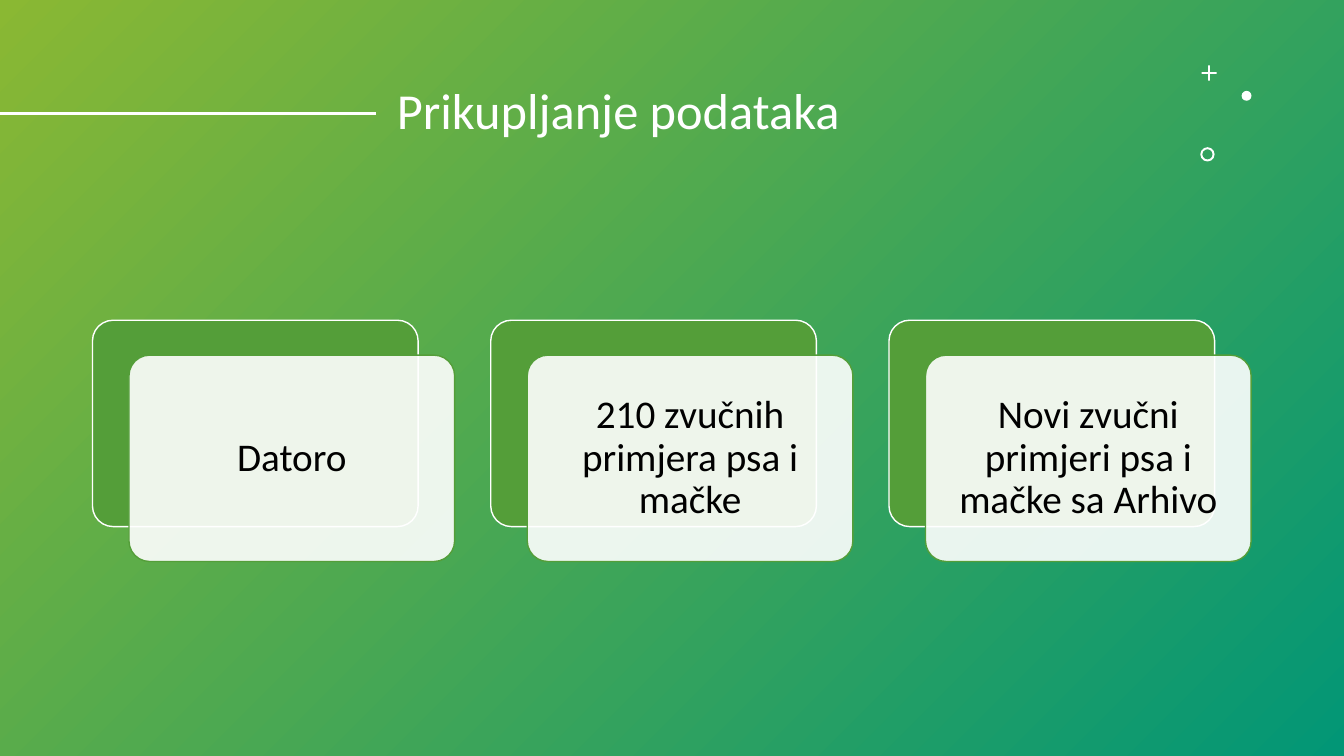
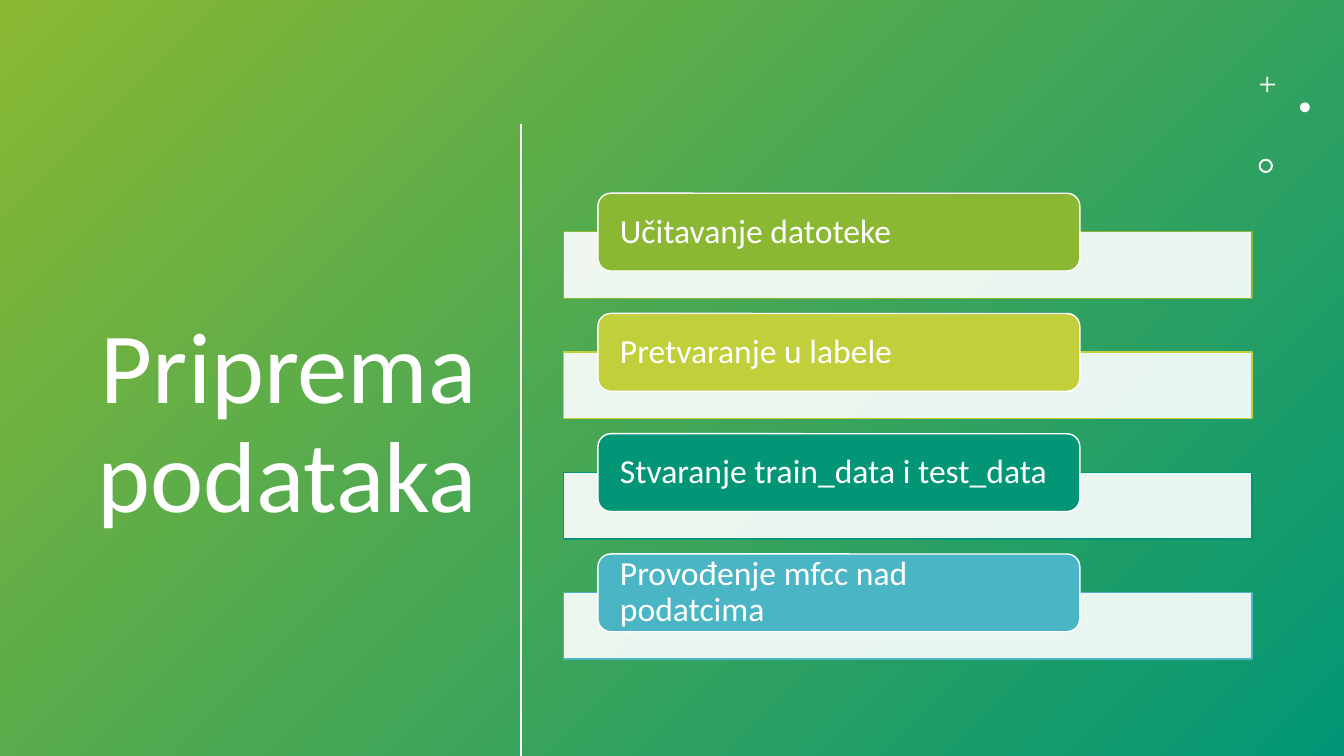
from lxml import etree
from pptx import Presentation
from pptx.dml.color import RGBColor
from pptx.enum import shapes, text
from pptx.oxml import ns
from pptx.util import Cm, Pt

WIDTH, HEIGHT = 33.87, 19.05
FONT = "Calibri"
WHITE = RGBColor(0xFF, 0xFF, 0xFF)
BLACK = RGBColor(0x00, 0x00, 0x00)
GREEN = RGBColor(0x54, 0x9E, 0x39)
LIME = RGBColor(0x8A, 0xB8, 0x33)
YELLOW = RGBColor(0xC0, 0xCF, 0x3A)
TEAL = RGBColor(0x02, 0x96, 0x76)
BLUE = RGBColor(0x4A, 0xB5, 0xC4)
PRESET = shapes.MSO_SHAPE
ALIGN = text.PP_ALIGN


# Basic parts: boxes are (left, top, width, height) in centimetres
def add_box(slide, preset, box, fill=WHITE, line=None, alpha=None, corner=None):
    shape = slide.shapes.add_shape(preset, *map(Cm, box))
    shape.shadow.inherit = False
    shape.fill.solid()
    shape.fill.fore_color.rgb = fill
    if alpha is not None:
        color = shape.fill._xPr.find(".//" + ns.qn("a:srgbClr"))
        etree.SubElement(color, ns.qn("a:alpha")).set("val", str(alpha * 1000))
    if line is None:
        shape.line.fill.background()
    else:
        shape.line.color.rgb = line
        shape.line.width = Pt(1)
    if corner is not None:
        shape.adjustments[0] = corner
    return shape


def write(shape, words, size, color, align=ALIGN.LEFT, inset=(0.25, 0.13)):
    frame = shape.text_frame
    frame.word_wrap = True
    frame.vertical_anchor = text.MSO_ANCHOR.MIDDLE
    frame.margin_left = frame.margin_right = Cm(inset[0])
    frame.margin_top = frame.margin_bottom = Cm(inset[1])
    paragraph = frame.paragraphs[0]
    paragraph.text = words
    paragraph.alignment = align
    paragraph.line_spacing = 0.9
    paragraph.font.name = FONT
    paragraph.font.size = Pt(size)
    paragraph.font.color.rgb = color


def add_rule(slide, start, end):
    rule = slide.shapes.add_connector(
        shapes.MSO_CONNECTOR.STRAIGHT, *map(Cm, start + end))
    rule.line.color.rgb = WHITE
    rule.line.width = Pt(2)
    etree.SubElement(rule._element.spPr, ns.qn("a:effectLst"))


# Shared by both slides
def add_backdrop(slide):
    backdrop = add_box(slide, PRESET.RECTANGLE, (0, 0, WIDTH, HEIGHT))
    backdrop.fill.gradient()
    backdrop.fill.gradient_angle = 315
    for stop, color in zip(backdrop.fill.gradient_stops, (LIME, TEAL)):
        stop.color.rgb = color


def add_ornament(slide, left, top):
    add_box(slide, PRESET.CROSS, (left + 0.03, top, 0.38, 0.38), corner=0.44)
    add_box(slide, PRESET.OVAL, (left + 1.04, top + 0.64, 0.25, 0.25))
    add_box(slide, PRESET.DONUT, (left, top + 2.06, 0.36, 0.36), corner=0.14)


def add_titled_slide(presentation, title, box, size, align, rule, ornament):
    slide = presentation.slides.add_slide(presentation.slide_layouts[6])
    add_backdrop(slide)
    write(slide.shapes.add_textbox(*map(Cm, box)), title, size, WHITE, align)
    add_rule(slide, *rule)
    add_ornament(slide, *ornament)
    return slide


# Row of offset double cards
def add_cards(slide, box, labels, gap=1.83, shift=(0.92, 0.88)):
    left, top, width, height = box
    pitch = (width - shift[0] + gap) / len(labels)
    card_width = pitch - gap
    card_height = height - shift[1]
    for index, label in enumerate(labels):
        x = left + index * pitch
        add_box(slide, PRESET.ROUNDED_RECTANGLE, (x, top, card_width, card_height),
                GREEN, WHITE, corner=0.1)
        front = add_box(
            slide, PRESET.ROUNDED_RECTANGLE,
            (x + shift[0], top + shift[1], card_width, card_height),
            WHITE, GREEN, alpha=90, corner=0.1)
        write(front, label, 28, BLACK, ALIGN.CENTER, (0.3, 0.3))


# Stack of bars, each with a coloured tab
def add_steps(slide, box, steps, gap=0.38):
    left, top, width, height = box
    pitch = (height + gap) / len(steps)
    bar_height, tab_height = 1.68, 1.96
    for index, (label, color) in enumerate(steps):
        y = top + index * pitch
        add_box(slide, PRESET.RECTANGLE,
                (left, y + pitch - gap - bar_height, width, bar_height),
                WHITE, color, alpha=90)
        tab = add_box(slide, PRESET.ROUNDED_RECTANGLE,
                      (left + width * 0.05, y, width * 0.7, tab_height),
                      color, WHITE)
        write(tab, label, 24, WHITE, inset=(0.46, 0))


def build_collection(presentation):
    slide = add_titled_slide(
        presentation, "Prikupljanje podataka", (9.75, 1.02, 19.89, 3.68), 36,
        ALIGN.LEFT, ((0, 2.85), (9.48, 2.85)), (30.25, 1.65))
    add_cards(slide, (2.33, 8.07, 29.2, 6.08), (
        "Datoro",
        "210 zvučnih primjera psa i mačke",
        "Novi zvučni primjeri psa i mačke sa Arhivo",
    ))


def build_preparation(presentation):
    slide = add_titled_slide(
        presentation, "Priprema podataka", (1.32, 2.95, 10.95, 15.52), 72,
        ALIGN.RIGHT, ((13.13, 3.13), (13.13, HEIGHT)), (31.72, 1.94))
    add_steps(slide, (14.2, 4.87, 17.35, 11.74), (
        ("Učitavanje datoteke", LIME),
        ("Pretvaranje u labele", YELLOW),
        ("Stvaranje train_data i test_data", TEAL),
        ("Provođenje mfcc nad podatcima", BLUE),
    ))


def main():
    presentation = Presentation()
    presentation.slide_width = Cm(WIDTH)
    presentation.slide_height = Cm(HEIGHT)
    build_collection(presentation)
    build_preparation(presentation)
    presentation.save("out.pptx")


if __name__ == "__main__":
    main()
